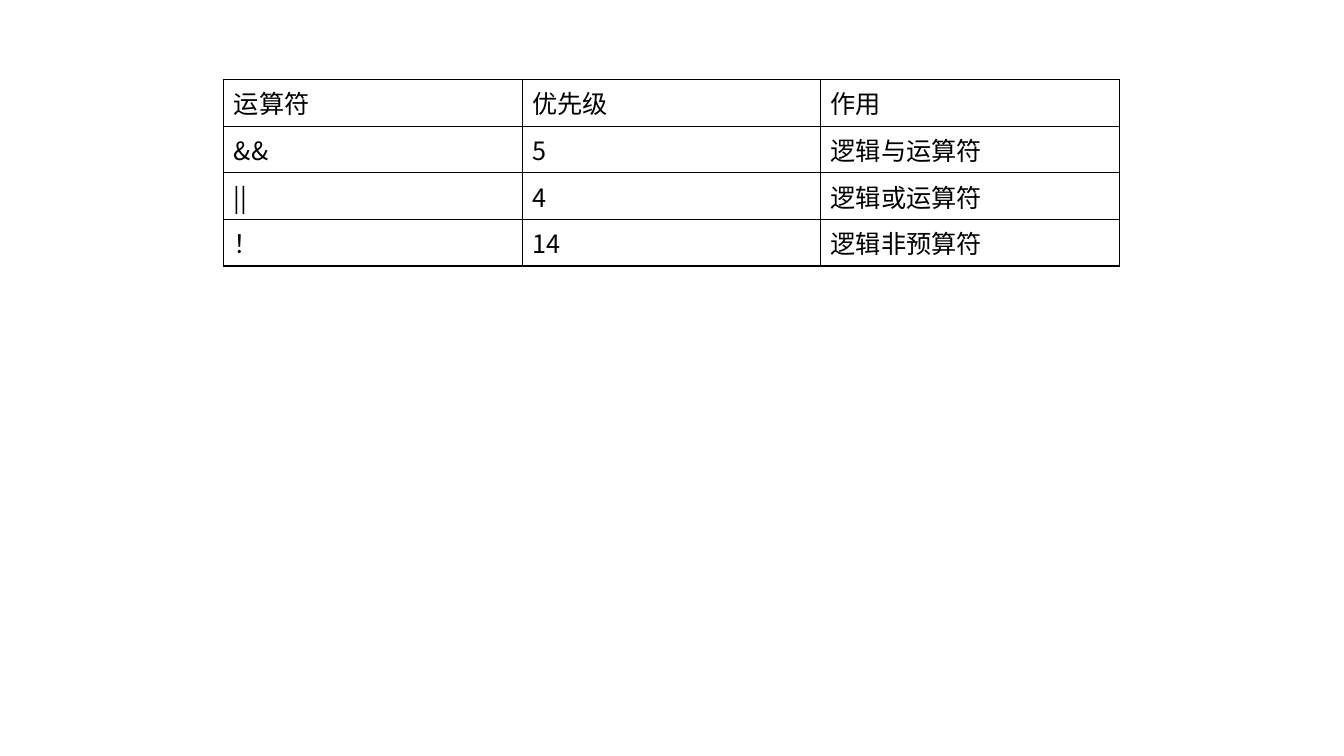
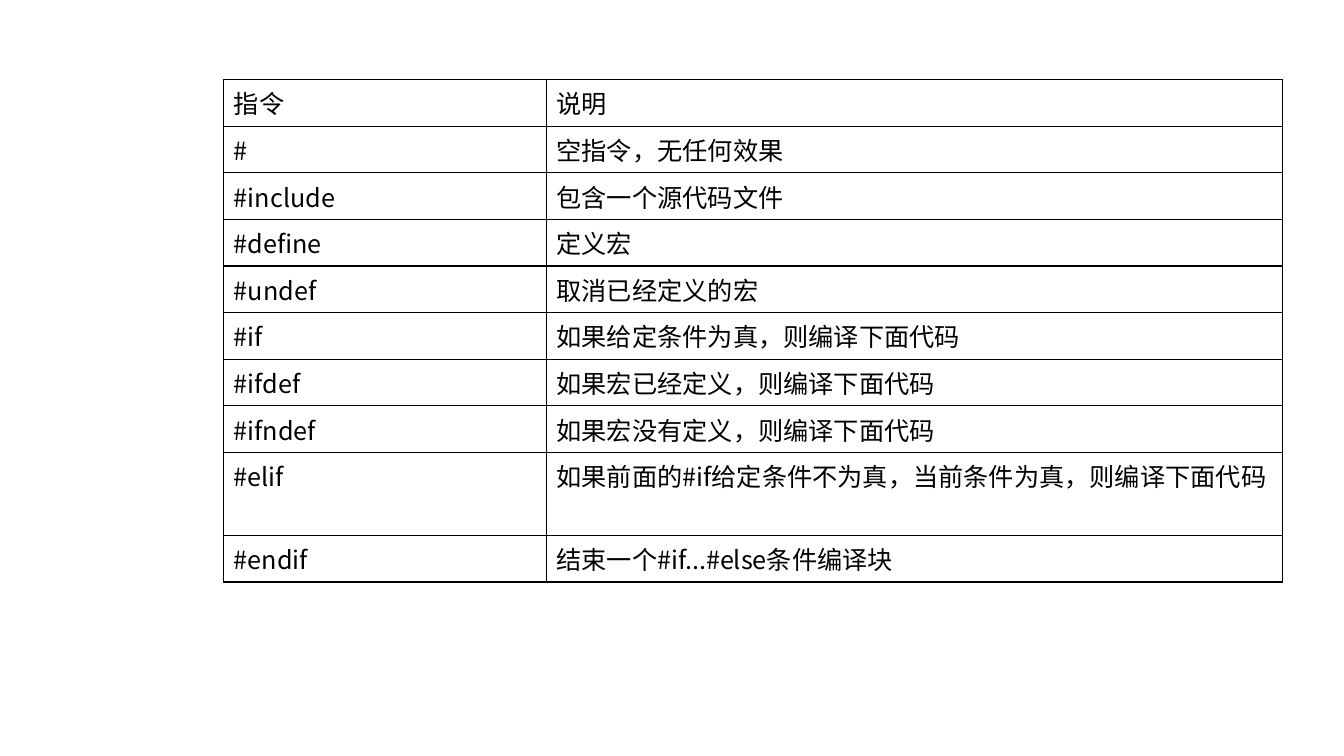
from dataclasses import dataclass

import lxml.etree
import pptx
import pptx.dml.color
import pptx.oxml.ns
import pptx.util

COLORS = {"text": "000000", "border": "000000"}
FONT = "Noto Sans CJK SC"
TEXT_SIZE = pptx.util.Pt(18)
BORDER_WIDTH = pptx.util.Pt(1)
SLIDE_WIDTH, SLIDE_HEIGHT = pptx.util.Inches(13.33), pptx.util.Inches(7.5)
TABLE_LEFT, TABLE_TOP = pptx.util.Inches(2.22), pptx.util.Inches(0.79)
BLANK_LAYOUT = 6


@dataclass(frozen=True)
class ReferenceTable:
    """Column widths and row height are in inches; the first row is the heading."""
    column_widths: tuple[float, ...]
    row_height: float
    rows: tuple[tuple[str, ...], ...]


OPERATORS = ReferenceTable((2.96, 2.96, 2.96), 0.41, (
    ("运算符", "优先级", "作用"),
    ("&&", "5", "逻辑与运算符"),
    ("||", "4", "逻辑或运算符"),
    ("！", "14", "逻辑非预算符"),
))

DIRECTIVES = ReferenceTable((3.2, 7.3), 0.43, (
    ("指令", "说明"),
    ("#", "空指令，无任何效果"),
    ("#include", "包含一个源代码文件"),
    ("#define", "定义宏"),
    ("#undef", "取消已经定义的宏"),
    ("#if", "如果给定条件为真，则编译下面代码"),
    ("#ifdef", "如果宏已经定义，则编译下面代码"),
    ("#ifndef", "如果宏没有定义，则编译下面代码"),
    ("#elif", "如果前面的#if给定条件不为真，当前条件为真，则编译下面代码"),
    ("#endif", "结束一个#if...#else条件编译块"),
))


def add_child(parent, tag: str, **attributes: str):
    return lxml.etree.SubElement(parent, pptx.oxml.ns.qn(tag), attributes)


def draw_borders(cell) -> None:
    properties = cell._tc.get_or_add_tcPr()
    for side in ("a:lnL", "a:lnR", "a:lnT", "a:lnB"):
        line = add_child(properties, side, w=str(int(BORDER_WIDTH)))
        add_child(add_child(line, "a:solidFill"), "a:srgbClr", val=COLORS["border"])


def write_text(cell, text: str) -> None:
    run = cell.text_frame.paragraphs[0].add_run()
    run.text = text
    run.font.size = TEXT_SIZE
    run.font.color.rgb = pptx.dml.color.RGBColor.from_string(COLORS["text"])
    run.font.name = FONT
    add_child(run._r.get_or_add_rPr(), "a:ea", typeface=FONT)


def add_table_slide(presentation, content: ReferenceTable) -> None:
    slide = presentation.slides.add_slide(presentation.slide_layouts[BLANK_LAYOUT])
    widths = [pptx.util.Inches(width) for width in content.column_widths]
    row_height = pptx.util.Inches(content.row_height)
    row_count = len(content.rows)
    table = slide.shapes.add_table(
        row_count, len(widths), TABLE_LEFT, TABLE_TOP,
        sum(widths), row_height * row_count).table
    table.first_row = table.horz_banding = False
    for column, width in zip(table.columns, widths):
        column.width = width
    for row, texts in zip(table.rows, content.rows):
        row.height = row_height
        for cell, text in zip(row.cells, texts):
            draw_borders(cell)
            cell.fill.background()
            write_text(cell, text)


def main() -> None:
    presentation = pptx.Presentation()
    presentation.slide_width, presentation.slide_height = SLIDE_WIDTH, SLIDE_HEIGHT
    for content in (OPERATORS, DIRECTIVES):
        add_table_slide(presentation, content)
    presentation.save("out.pptx")


if __name__ == "__main__":
    main()
